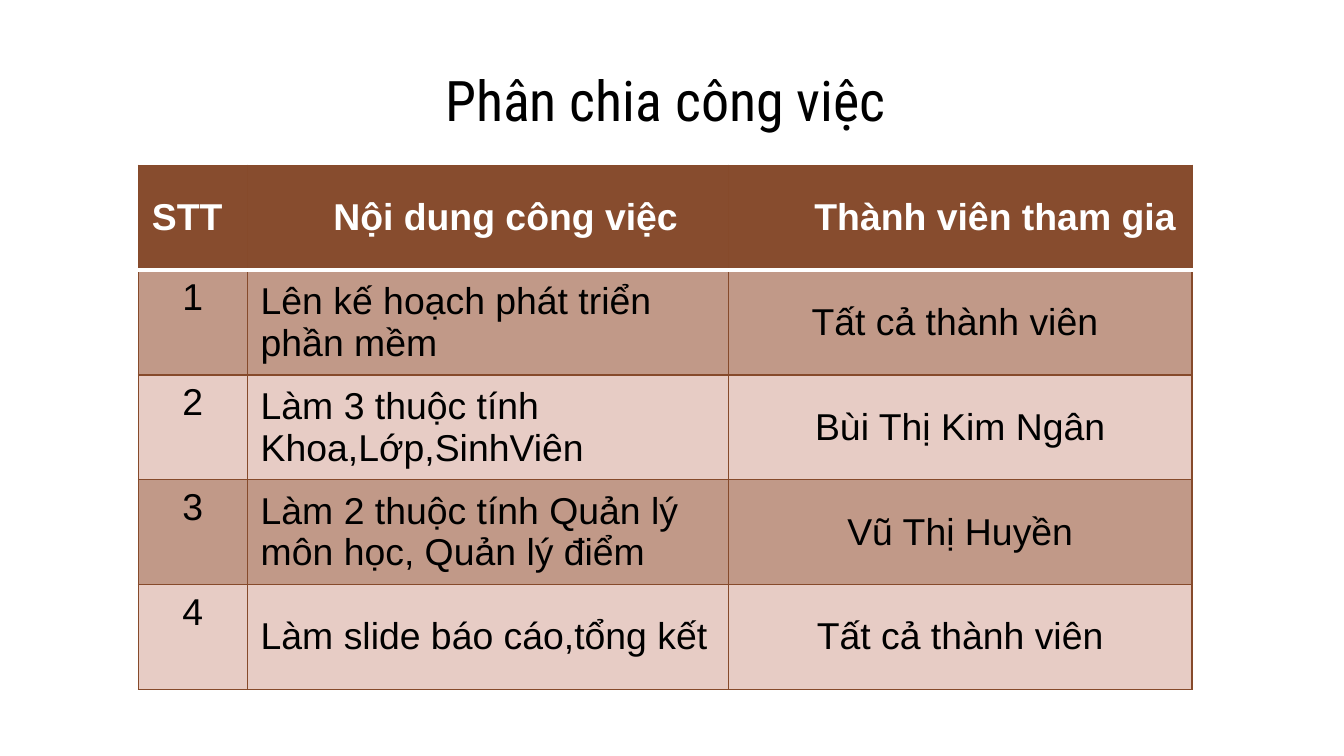
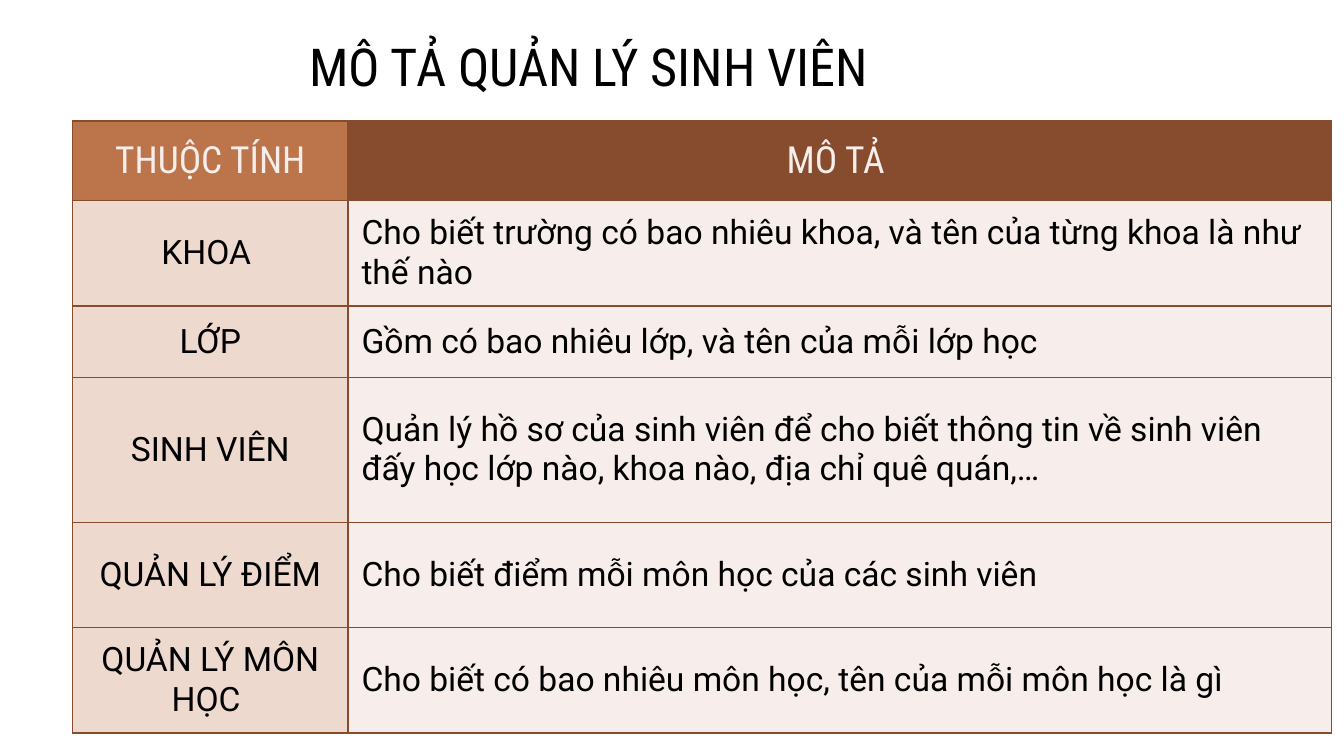
from dataclasses import dataclass
from lxml.etree import SubElement
from pptx import Presentation
from pptx.dml.color import RGBColor
from pptx.enum.text import MSO_ANCHOR, PP_ALIGN
from pptx.oxml.ns import qn
from pptx.util import Inches, Pt


@dataclass(frozen=True)
class Theme:
    black: str = "000000"
    white: str = "FFFFFF"
    brown: str = "874C2E"
    edge: str = "864A2B"
    copper: str = "BC744A"
    clay: str = "C19988"
    rose: str = "E7CCC5"
    sand: str = "EED9CE"
    cream: str = "F7EEEB"
    heading: str = "Roboto Condensed"
    body: str = "Roboto"
    plain: str = "Arial"
    task_title: int = 30
    entity_title: int = 28
    large: int = 20
    medium: int = 18
    hairline: float = 0.75
    rule: float = 2


THEME = Theme()
SLIDE_WIDTH = 10
SLIDE_HEIGHT = SLIDE_WIDTH * 9 / 16
TITLE_ONLY = 5
SIDES = {"left": "a:lnL", "right": "a:lnR", "top": "a:lnT", "bottom": "a:lnB"}

TASKS = [
    ("STT", "Nội dung công việc", "Thành viên tham gia"),
    ("1", "Lên kế hoạch phát triển phần mềm", "Tất cả thành viên "),
    ("2", "Làm 3 thuộc tính Khoa,Lớp,SinhViên", "Bùi Thị Kim Ngân"),
    ("3", "Làm 2 thuộc tính Quản lý môn học, Quản lý điểm", "Vũ Thị Huyền"),
    ("4", "Làm slide báo cáo,tổng kết", "Tất cả thành viên"),
]

ENTITIES = [
    ("THUỘC TÍNH", "MÔ TẢ "),
    ("KHOA ", "Cho biết trường có bao nhiêu khoa, và tên của từng khoa là như thế nào"),
    ("LỚP", "Gồm có bao nhiêu lớp, và tên của mỗi lớp học"),
    ("SINH VIÊN", "Quản lý hồ sơ của sinh viên để cho biết thông tin về sinh viên "
                  "đấy học lớp nào, khoa nào, địa chỉ quê quán,…"),
    ("QUẢN LÝ ĐIỂM", "Cho biết điểm mỗi môn học của các sinh viên"),
    ("QUẢN LÝ MÔN HỌC ", "Cho biết có bao nhiêu môn học, tên của mỗi môn học là gì"),
]


def set_all(target, values):
    for name, value in values.items():
        setattr(target, name, value)


def margins(horizontal, vertical):
    return {
        "margin_left": Inches(horizontal), "margin_right": Inches(horizontal),
        "margin_top": Inches(vertical), "margin_bottom": Inches(vertical),
    }


def write(frame, text, font, size, color, align, bold=False):
    paragraph = frame.paragraphs[0]
    paragraph.alignment = align
    run = paragraph.add_run()
    run.text = text
    set_all(run.font, {"name": font, "size": Pt(size), "bold": bold})
    run.font.color.rgb = RGBColor.from_string(color)
    return paragraph


def add_title(slide, box, text, size):
    title = slide.shapes.title
    set_all(title, dict(zip(("left", "top", "width", "height"), map(Inches, box))))
    frame = title.text_frame
    set_all(frame, {"word_wrap": True, "vertical_anchor": MSO_ANCHOR.MIDDLE,
                    **margins(0.1, 0.1)})
    write(frame, text, THEME.heading, size, THEME.black, PP_ALIGN.CENTER)


def set_borders(cell, borders):
    properties = cell._tc.get_or_add_tcPr()
    for position, (side, tag) in enumerate(SIDES.items()):
        color, width = borders[side]
        line = SubElement(properties, qn(tag), w=str(Pt(width)))
        fill = SubElement(line, qn("a:solidFill"))
        SubElement(fill, qn("a:srgbClr"), val=color)
        properties.insert(position, line)


def add_grid(slide, origin, widths, heights, content, style):
    left, top = origin
    table = slide.shapes.add_table(
        len(heights), len(widths), Inches(left), Inches(top),
        Inches(sum(widths)), Inches(sum(heights))).table
    set_all(table, {"first_row": False, "horz_banding": False})
    for column, width in zip(table.columns, widths):
        column.width = Inches(width)
    for row, height in zip(table.rows, heights):
        row.height = Inches(height)
    for r, texts in enumerate(content):
        for c, text in enumerate(texts):
            style(table.cell(r, c), r, c, text)


def fill_cell(cell, color, anchor, inset, borders):
    set_all(cell, {"vertical_anchor": anchor, **margins(*inset)})
    cell.fill.solid()
    cell.fill.fore_color.rgb = RGBColor.from_string(color)
    set_borders(cell, borders)


def style_task(cell, r, c, text):
    header = r == 0
    borders = dict.fromkeys(SIDES, (THEME.edge, THEME.hairline))
    if r < 2:
        borders["bottom" if header else "top"] = (THEME.white, THEME.rule)
    color = THEME.brown if header else (THEME.rose, THEME.clay)[r % 2]
    numbered = c == 0 and not header
    anchor = MSO_ANCHOR.TOP if numbered else MSO_ANCHOR.MIDDLE
    fill_cell(cell, color, anchor, (0.1, 0.05), borders)
    align = PP_ALIGN.LEFT if header or c == 1 else PP_ALIGN.CENTER
    paragraph = write(cell.text_frame, text, THEME.plain, THEME.large,
                      THEME.white if header else THEME.black, align, header)
    if header and c > 0:
        properties = paragraph._p.get_or_add_pPr()
        properties.set("marL", str(Inches(0.54)))
        properties.set("indent", "0")


def style_entity(cell, r, c, text):
    header = r == 0
    fills = (THEME.copper, THEME.brown) if header else (THEME.sand, THEME.cream)
    fill_cell(cell, fills[c], MSO_ANCHOR.MIDDLE, (0.1, 0.1),
              dict.fromkeys(SIDES, (THEME.brown, THEME.hairline)))
    lettering = ((THEME.heading, THEME.large, THEME.cream) if header
                 else (THEME.body, THEME.medium, THEME.black))
    align = PP_ALIGN.CENTER if header or c == 0 else PP_ALIGN.LEFT
    write(cell.text_frame, text, *lettering, align)


def add_slide(deck):
    slide = deck.slides.add_slide(deck.slide_layouts[TITLE_ONLY])
    slide.background.fill.solid()
    slide.background.fill.fore_color.rgb = RGBColor.from_string(THEME.white)
    return slide


def build_tasks(deck):
    slide = add_slide(deck)
    add_title(slide, (2.84, 0.42, 4.32, 0.63), "Phân chia công việc ", THEME.task_title)
    add_grid(slide, (1.03, 1.23), (0.81, 3.58, 3.45), [0.78] * len(TASKS),
             TASKS, style_task)


def build_entities(deck):
    slide = add_slide(deck)
    add_grid(slide, (0.54, 0.9), (2.05, 7.32), (0.59, 0.78, 0.53, 1.08, 0.78, 0.78),
             ENTITIES, style_entity)
    add_title(slide, (1.04, 0.25, 6.77, 0.48), "MÔ TẢ QUẢN LÝ SINH VIÊN ",
              THEME.entity_title)


def main():
    deck = Presentation()
    set_all(deck, {"slide_width": Inches(SLIDE_WIDTH),
                   "slide_height": Inches(SLIDE_HEIGHT)})
    build_tasks(deck)
    build_entities(deck)
    deck.save("out.pptx")


if __name__ == "__main__":
    main()
